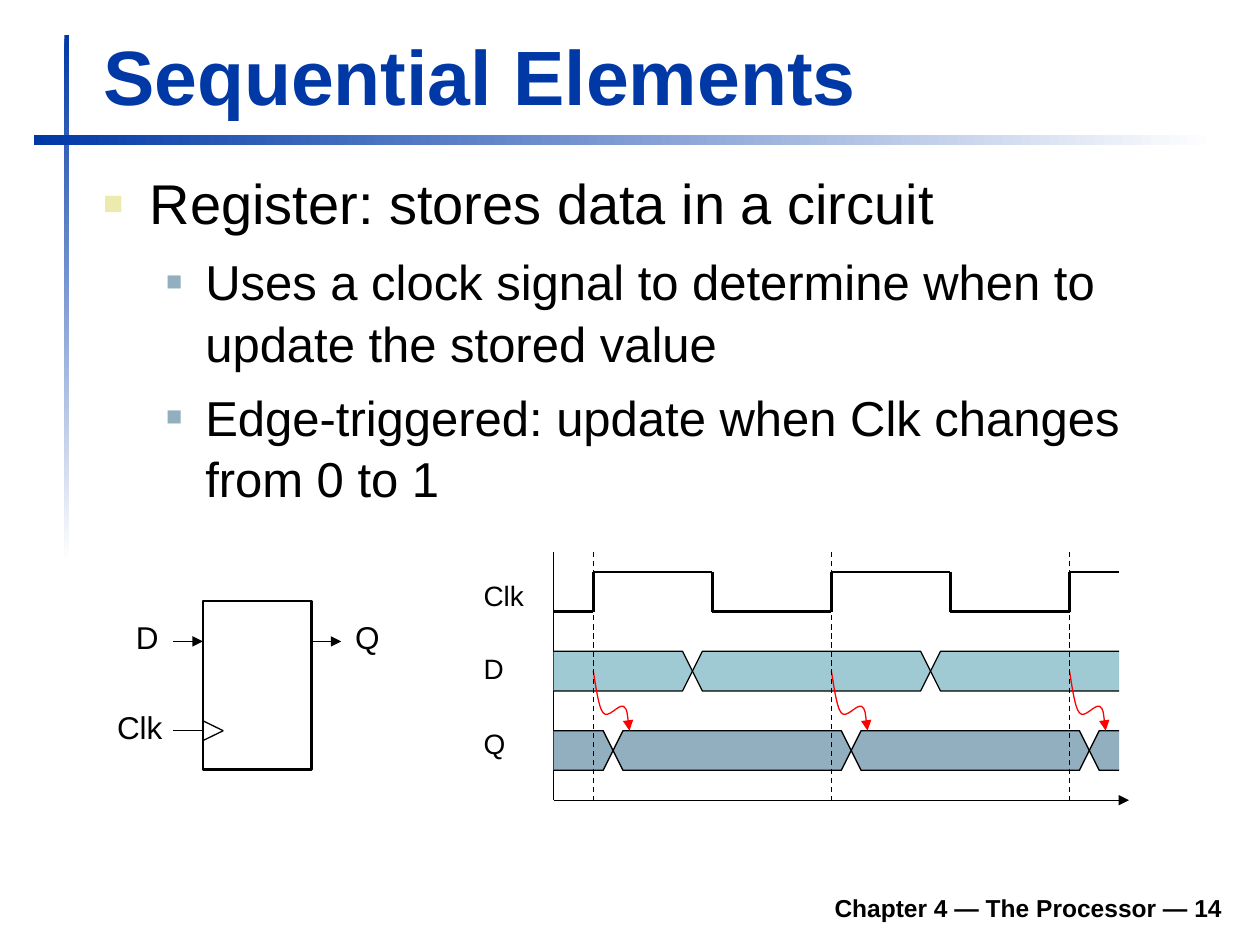
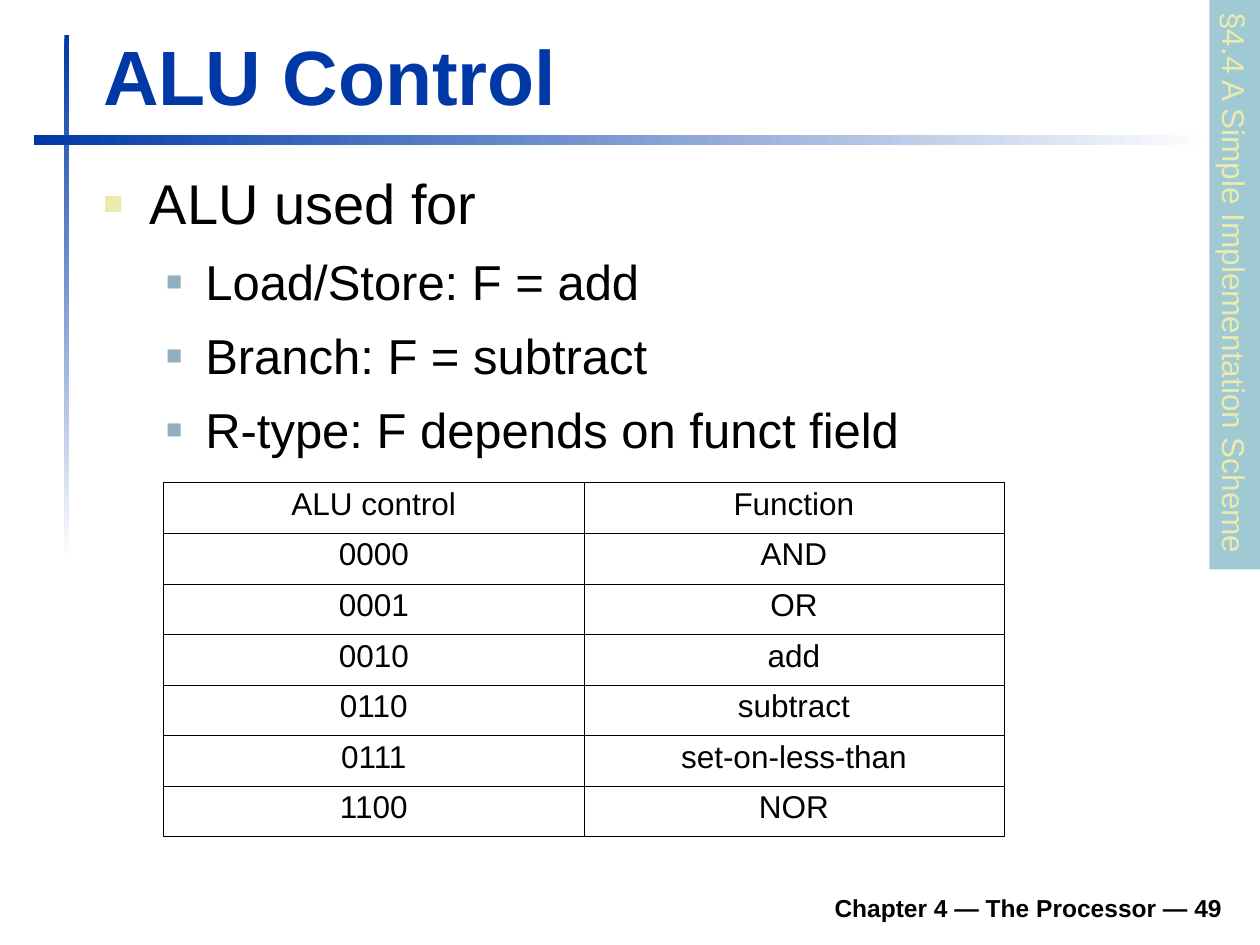
from lxml import etree
from pptx import Presentation
from pptx.dml.color import RGBColor
from pptx.enum.dml import MSO_LINE
from pptx.enum.shapes import MSO_CONNECTOR, MSO_SHAPE
from pptx.enum.text import MSO_ANCHOR, MSO_AUTO_SIZE, PP_ALIGN
from pptx.oxml.ns import qn
from pptx.util import Cm, Pt

STRAIGHT = MSO_CONNECTOR.STRAIGHT
RECTANGLE = MSO_SHAPE.RECTANGLE
DASH = MSO_LINE.DASH
TOP, BOTTOM = MSO_ANCHOR.TOP, MSO_ANCHOR.BOTTOM
LEFT, CENTER, RIGHT = PP_ALIGN.LEFT, PP_ALIGN.CENTER, PP_ALIGN.RIGHT

FONT = "Arial"
COLORS = {
    "title": "0039A6", "ink": "000000", "paper": "FFFFFF", "sand": "ECEAAC",
    "teal": "9FCAD3", "slate": "91AFBF", "cause": "FF0000",
}
FOOTER = "Chapter 4 — The Processor — {}"

# Per level: size, left margin and hanging indent (cm), space before, bullet colour and percent
LEVELS = [
    (32, 0.94, 0.94, 8, "sand", 60),
    (28, 2.06, 0.79, 7, "slate", 55),
]

SEQUENTIAL = {
    "title": "Sequential Elements", "number": 14, "body_height": 7.67,
    "points": [
        (0, "Register: stores data in a circuit"),
        (1, "Uses a clock signal to determine when to update the stored value"),
        (1, "Edge-triggered: update when Clk changes from 0 to 1"),
    ],
}
ALU = {
    "title": "ALU Control", "number": 49, "body_height": 6.6,
    "points": [
        (0, "ALU used for"),
        (1, "Load/Store: F = add"),
        (1, "Branch: F = subtract"),
        (1, "R-type: F depends on funct field"),
    ],
}
SECTION = "§4.4 A Simple Implementation Scheme"
ALU_FUNCTIONS = [
    ("ALU control", "Function"),
    ("0000", "AND"),
    ("0001", "OR"),
    ("0010", "add"),
    ("0110", "subtract"),
    ("0111", "set-on-less-than"),
    ("1100", "NOR"),
]

# Register symbol, in cm
REGISTER = (4.09, 12.12, 2.19, 3.4)
REGISTER_LABELS = [("D", 2.49, 12.34, 0.97), ("Clk", 2.11, 14.15, 1.42), ("Q", 6.91, 12.34, 0.99)]
DATA_Y, CLOCK_Y = 12.93, 14.73
PIN = 0.6

# Timing diagram, in cm
TIME_LEFT, TIME_TOP, TIME_BOTTOM = 11.16, 11.13, 16.13
SIGNAL_END, AXIS_END = TIME_LEFT + 11.4, TIME_LEFT + 11.6
PERIOD = 4.8
RISING_EDGES = [TIME_LEFT + 0.8 + PERIOD * cycle for cycle in range(3)]
SWING, SLOPE = 0.8, 0.2
CLOCK_HIGH, D_TOP, Q_TOP = 11.53, 13.13, 14.73
D_DELAY, Q_DELAY = 2.0, 0.4
SIGNAL_LABELS = [("Clk", 11.53, 1.32), ("D", 13.0, 0.91), ("Q", 14.53, 0.94)]
CAUSE_CURVE = [
    (0.03, 0.15), (0.1, 0.74), (0.2, 0.84),
    (0.3, 0.97), (0.51, 0.66), (0.61, 0.71),
    (0.69, 0.76), (0.71, 1.09), (0.73, 1.2),
]


def rgb(name):
    return RGBColor.from_string(COLORS[name])


def style_runs(para, size, color="ink", bold=False):
    for span in para.runs:
        span.font.name = FONT
        span.font.size = Pt(size)
        span.font.bold = bold
        span.font.color.rgb = rgb(color)


def set_insets(frame, side, top, bottom):
    frame.margin_left = frame.margin_right = Cm(side)
    frame.margin_top, frame.margin_bottom = Cm(top), Cm(bottom)


def add_label(slide, text, left, top, width, height, size):
    box = slide.shapes.add_textbox(Cm(left), Cm(top), Cm(width), Cm(height))
    box.text_frame.word_wrap = False
    box.text_frame.text = text
    style_runs(box.text_frame.paragraphs[0], size)
    return box


def add_box(slide, left, top, width, height):
    shape = slide.shapes.add_shape(RECTANGLE, Cm(left), Cm(top), Cm(width), Cm(height))
    shape.shadow.inherit = False
    shape.line.fill.background()
    return shape


def add_arrowhead(line):
    etree.SubElement(line._get_or_add_ln(), qn("a:tailEnd"), type="triangle")


def add_line(slide, start, end, width=0.75, arrow=False, dashed=False):
    connector = slide.shapes.add_connector(STRAIGHT, *(Cm(value) for value in (*start, *end)))
    connector.line.width = Pt(width)
    connector.line.color.rgb = rgb("ink")
    if dashed:
        connector.line.dash_style = DASH
    if arrow:
        add_arrowhead(connector.line)
    etree.SubElement(connector._element.spPr, qn("a:effectLst"))


def add_outline(slide, points, color, fill=None, close=False):
    corners = [(Cm(x), Cm(y)) for x, y in points]
    builder = slide.shapes.build_freeform(*corners[0])
    builder.add_line_segments(corners[1:], close=close)
    shape = builder.convert_to_shape()
    shape.shadow.inherit = False
    if fill:
        shape.fill.solid()
        shape.fill.fore_color.rgb = rgb(fill)
    else:
        shape.fill.background()
    shape.line.width = Pt(0.75)
    shape.line.color.rgb = rgb(color)
    return shape


def add_band(slide, left, top, width, height, angle):
    band = add_box(slide, left, top, width, height)
    band.fill.gradient()
    band.fill.gradient_angle = angle
    for stop, color, position in zip(band.fill.gradient_stops, ("title", "paper"), (0, 1)):
        stop.color.rgb = rgb(color)
        stop.position = position


def add_bullet(para, level):
    size, margin, hanging, _, color, percent = LEVELS[level]
    properties = para._p.get_or_add_pPr()
    properties.set("marL", str(Cm(margin)))
    properties.set("indent", str(-Cm(hanging)))
    bullet_color = etree.SubElement(properties, qn("a:buClr"))
    etree.SubElement(bullet_color, qn("a:srgbClr"), val=COLORS[color])
    etree.SubElement(properties, qn("a:buSzPct"), val=str(percent * 1000))
    etree.SubElement(properties, qn("a:buFont"), typeface=FONT)
    etree.SubElement(properties, qn("a:buChar"), char="■")
    style_runs(para, size)


def add_page(deck, content):
    """Add a slide with the shared bands, footer, title and bulleted body."""
    page = deck.slides.add_slide(deck.slide_layouts[5])
    add_band(page, 1.3, 0.71, 0.1, 10.59, 270)
    add_band(page, 0.69, 2.72, 23.8, 0.2, 0)

    footer = add_label(page, FOOTER.format(content["number"]), 4.7, 17.73, 20.19, 0.99, 14)
    footer.text_frame.word_wrap = True
    footer.text_frame.vertical_anchor = BOTTOM
    footer_para = footer.text_frame.paragraphs[0]
    footer_para.alignment = RIGHT
    style_runs(footer_para, 14, bold=True)

    title = page.shapes.title
    title.left, title.top, title.width, title.height = Cm(1.9), Cm(0.41), Cm(22.94), Cm(2.11)
    frame = title.text_frame
    frame.text = content["title"]
    frame.auto_size = MSO_AUTO_SIZE.NONE
    frame.vertical_anchor = BOTTOM
    set_insets(frame, 0.18, 0.09, 0.09)
    frame.paragraphs[0].alignment = LEFT
    style_runs(frame.paragraphs[0], 44, "title", True)

    body = page.shapes.add_textbox(Cm(1.9), Cm(3.12), Cm(22.96), Cm(content["body_height"]))
    frame = body.text_frame
    frame.word_wrap = True
    set_insets(frame, 0.18, 0.22, 0)
    for index, (level, text) in enumerate(content["points"]):
        para = frame.add_paragraph() if index else frame.paragraphs[0]
        para.text = text
        para.level = level
        para.line_spacing = 1.05
        para.space_before = Pt(LEVELS[level][3] if index else 0)
        add_bullet(para, level)
    return page


def draw_register(page):
    left, top, width, height = REGISTER
    right = left + width
    register = add_box(page, left, top, width, height)
    register.fill.background()
    register.line.width = Pt(1.5)
    register.line.color.rgb = rgb("ink")
    add_line(page, (left - PIN, DATA_Y), (left, DATA_Y), 1, arrow=True)
    add_line(page, (left - PIN, CLOCK_Y), (left, CLOCK_Y))
    add_line(page, (right, DATA_Y), (right + PIN, DATA_Y), 1, arrow=True)
    for offset in (-0.2, 0.2):
        add_line(page, (left, CLOCK_Y + offset), (left + 0.41, CLOCK_Y))
    for text, label_left, label_top, label_width in REGISTER_LABELS:
        add_label(page, text, label_left, label_top, label_width, 1.02, 18)


def draw_clock(page):
    low = CLOCK_HIGH + SWING
    points = [(TIME_LEFT, low)]
    for edge in RISING_EDGES:
        fall = min(edge + PERIOD / 2, SIGNAL_END)
        points += [(edge, low), (edge, CLOCK_HIGH), (fall, CLOCK_HIGH)]
        if fall < SIGNAL_END:
            points.append((fall, low))
    for start, end in zip(points, points[1:]):
        add_line(page, start, end, 1.5)


def draw_signal(page, top, delay, fill):
    """Draw one value per span between crossings; the outer spans stay open."""
    middle, bottom = top + SWING / 2, top + SWING
    crossings = [edge + delay for edge in RISING_EDGES if edge + delay < SIGNAL_END]
    first, last = crossings[0], crossings[-1]
    add_outline(page, [(TIME_LEFT, top), (first - SLOPE, top), (first, middle),
                       (first - SLOPE, bottom), (TIME_LEFT, bottom)], "ink", fill)
    for start, end in zip(crossings, crossings[1:]):
        add_outline(page, [(start, middle), (start + SLOPE, top), (end - SLOPE, top),
                           (end, middle), (end - SLOPE, bottom), (start + SLOPE, bottom)],
                    "ink", fill, close=True)
    add_outline(page, [(SIGNAL_END, top), (last + SLOPE, top), (last, middle),
                       (last + SLOPE, bottom), (SIGNAL_END, bottom)], "ink", fill)


def draw_cause(page, edge):
    """Draw a curved arrow from D to the change of Q that the edge triggers."""
    start_y = D_TOP + SWING / 2
    points = [(edge, start_y)] + [(edge + dx, start_y + dy) for dx, dy in CAUSE_CURVE]
    arrow = add_outline(page, points, "cause")
    add_arrowhead(arrow.line)
    segments = list(arrow._element.iter(qn("a:lnTo")))
    outline = segments[0].getparent()
    for index in range(0, len(segments), 3):
        curve = etree.SubElement(outline, qn("a:cubicBezTo"))
        for segment in segments[index:index + 3]:
            curve.append(segment[0])
            outline.remove(segment)


def draw_timing(page):
    draw_clock(page)
    add_line(page, (TIME_LEFT, TIME_BOTTOM), (AXIS_END, TIME_BOTTOM), arrow=True)
    add_line(page, (TIME_LEFT, TIME_BOTTOM), (TIME_LEFT, TIME_TOP))
    for text, top, width in SIGNAL_LABELS:
        add_label(page, text, 9.5, top, width, 0.94, 16)
    draw_signal(page, D_TOP, D_DELAY, "teal")
    draw_signal(page, Q_TOP, Q_DELAY, "slate")
    for edge in RISING_EDGES:
        draw_cause(page, edge)
        add_line(page, (edge, TIME_TOP), (edge, TIME_BOTTOM), dashed=True)


def add_section_tab(page):
    tab = add_box(page, 19.15, 5.23, 11.48, 1.02)
    tab.rotation = 90
    tab.fill.solid()
    tab.fill.fore_color.rgb = rgb("teal")
    tab.text_frame.word_wrap = False
    tab.text_frame.text = SECTION
    tab.text_frame.paragraphs[0].alignment = LEFT
    style_runs(tab.text_frame.paragraphs[0], 18, "sand")


def set_borders(cell, widths):
    properties = cell._tc.get_or_add_tcPr()
    for index, (side, width) in enumerate(zip("LRTB", widths)):
        border = etree.Element(qn(f"a:ln{side}"), w=str(Pt(width)))
        fill = etree.SubElement(border, qn("a:solidFill"))
        etree.SubElement(fill, qn("a:srgbClr"), val=COLORS["ink"])
        properties.insert(index, border)


def add_function_table(page):
    rows, columns = len(ALU_FUNCTIONS), len(ALU_FUNCTIONS[0])
    table = page.shapes.add_table(rows, columns, Cm(3.3), Cm(9.73), Cm(16.94), Cm(1.02 * rows)).table
    table.first_row = table.horz_banding = False
    for row, texts in enumerate(ALU_FUNCTIONS):
        for column, text in enumerate(texts):
            cell = table.cell(row, column)
            cell.text = text
            cell.vertical_anchor = TOP
            cell.fill.background()
            outer = (column == 0, column == columns - 1, row == 0, row == rows - 1)
            set_borders(cell, [0.5 if edge else 0.25 for edge in outer])
            para = cell.text_frame.paragraphs[0]
            para.alignment = CENTER
            para.line_spacing = 0.93
            para.space_before = Pt(4.5)
            style_runs(para, 18)


def main():
    deck = Presentation()
    deck.slide_width, deck.slide_height = Cm(25.4), Cm(19.05)
    sequential = add_page(deck, SEQUENTIAL)
    draw_register(sequential)
    draw_timing(sequential)
    alu = add_page(deck, ALU)
    add_section_tab(alu)
    add_function_table(alu)
    deck.save("out.pptx")


if __name__ == "__main__":
    main()
